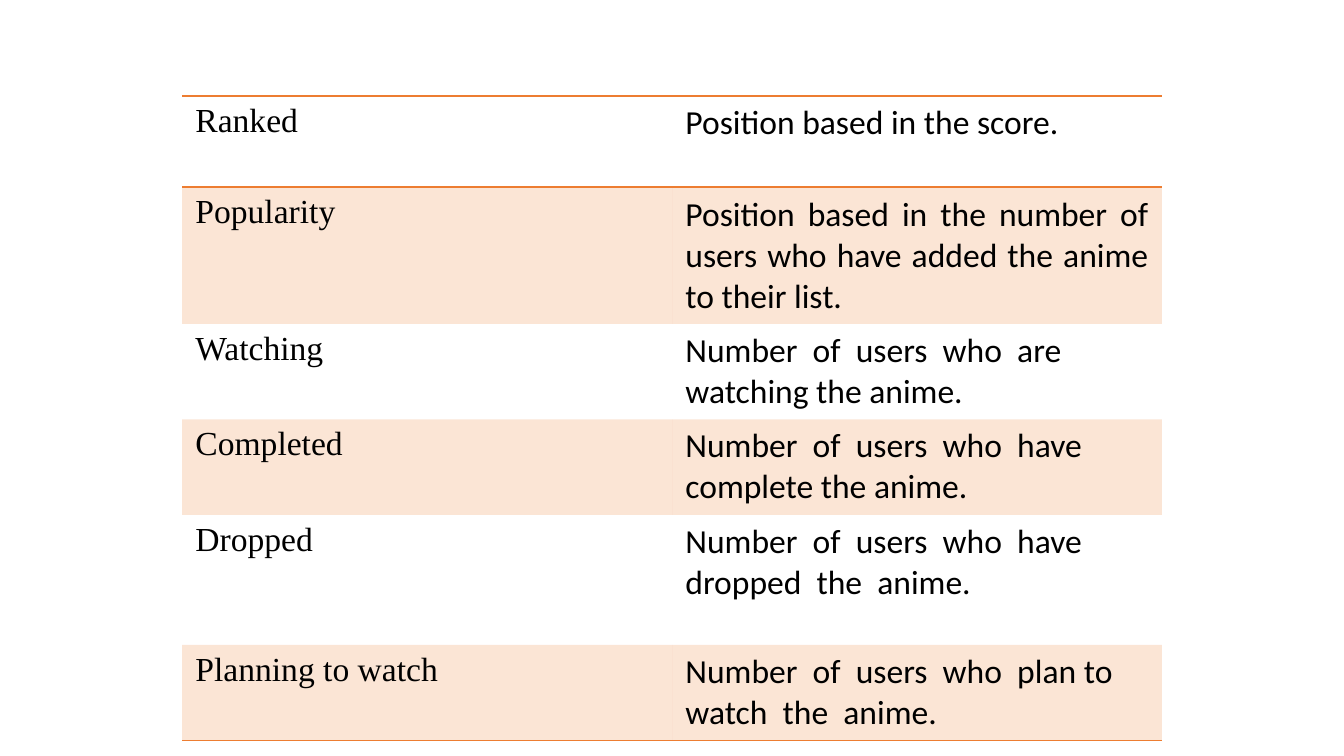
import pptx
import pptx.dml.color
import pptx.enum.text
import pptx.oxml
import pptx.oxml.ns
import pptx.util

Cm = pptx.util.Cm
Pt = pptx.util.Pt
RGBColor = pptx.dml.color.RGBColor
ALIGN = pptx.enum.text.PP_ALIGN

BLACK = RGBColor(0x00, 0x00, 0x00)
ORANGE = RGBColor(0xED, 0x7D, 0x31)
PLAIN = "{2D5ABB26-0587-4C30-8999-92F81FD0307C}"
FONTS = ("Times New Roman", "Calibri")
ROWS = (
    ("Ranked", "Position based in the score.", 1.73),
    ("Popularity", "Position based in the number of users who have added the anime to their list.", 1.73),
    ("Watching", "Number  of  users  who  are watching the anime.", 1.73),
    ("Completed", "Number  of  users  who  have complete the anime.", 1.73),
    ("Dropped", "Number  of  users  who  have dropped  the  anime.", 2.46),
    ("Planning to watch", "Number  of  users  who  plan to watch  the  anime.", 0.99),
)


def set_all(item, values):
    for name, value in values.items():
        setattr(item, name, value)


def add_rule(cell, side):
    cell._tc.get_or_add_tcPr().append(pptx.oxml.parse_xml(
        f'<a:{side} {pptx.oxml.ns.nsdecls("a")} w="{Pt(1)}"><a:solidFill>'
        f'<a:srgbClr val="{ORANGE}"/></a:solidFill></a:{side}>'))


def fill_cell(cell, tinted):
    if not tinted:
        cell.fill.background()
        return
    cell.fill.solid()
    cell.fill.fore_color.rgb = ORANGE
    color = cell._tc.tcPr.find(pptx.oxml.ns.qn("a:solidFill"))[0]
    color.append(pptx.oxml.parse_xml(
        f'<a:alpha {pptx.oxml.ns.nsdecls("a")} val="20000"/>'))


def write_cell(cell, text, face):
    line = cell.text_frame.paragraphs[0]
    run = line.add_run()
    run.text = text
    set_all(run.font, {"name": face, "size": Pt(18), "bold": False})
    run.font.color.rgb = BLACK
    return line


def add_terms(slide, left, top, width, height):
    grid = slide.shapes.add_table(len(ROWS), 2, left, top, width, height).table
    set_all(grid, {"first_row": False, "horz_banding": False})
    grid._tbl.tblPr[0].text = PLAIN
    for col in grid.columns:
        col.width = width // 2
    last = len(ROWS) - 1
    for i, (*texts, tall) in enumerate(ROWS):
        grid.rows[i].height = Cm(tall)
        for j, text in enumerate(texts):
            cell = grid.cell(i, j)
            line = write_cell(cell, text, FONTS[j])
            if (i, j) == (1, 1):
                line.alignment = ALIGN.JUSTIFY
            if i == 0:
                add_rule(cell, "lnT")
            if i in (0, last):
                add_rule(cell, "lnB")
            fill_cell(cell, i % 2 == 1)


def main():
    deck = pptx.Presentation()
    set_all(deck, {"slide_width": Cm(25.4), "slide_height": Cm(14.29)})
    slide = deck.slides.add_slide(deck.slide_layouts[6])
    add_terms(slide, Cm(3.44), Cm(1.81), Cm(18.52), Cm(sum(row[2] for row in ROWS)))
    deck.save("out.pptx")


if __name__ == "__main__":
    main()
